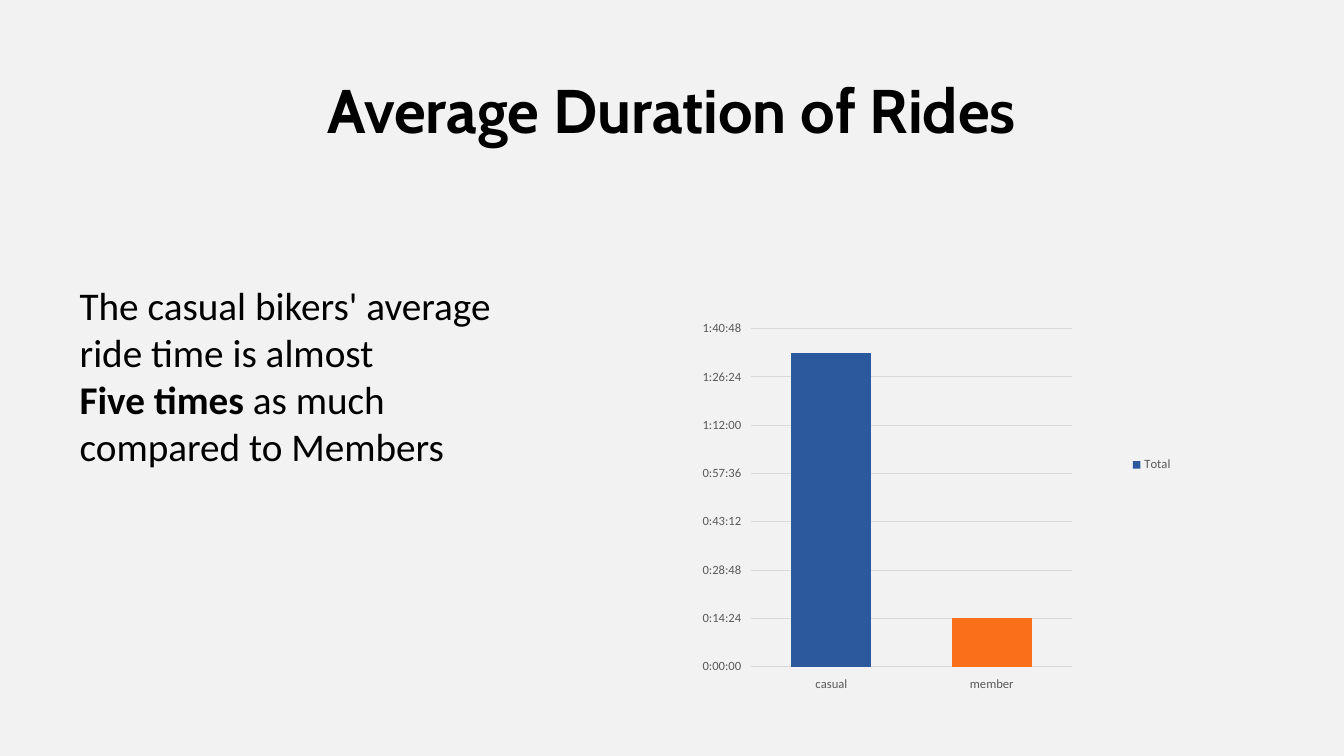
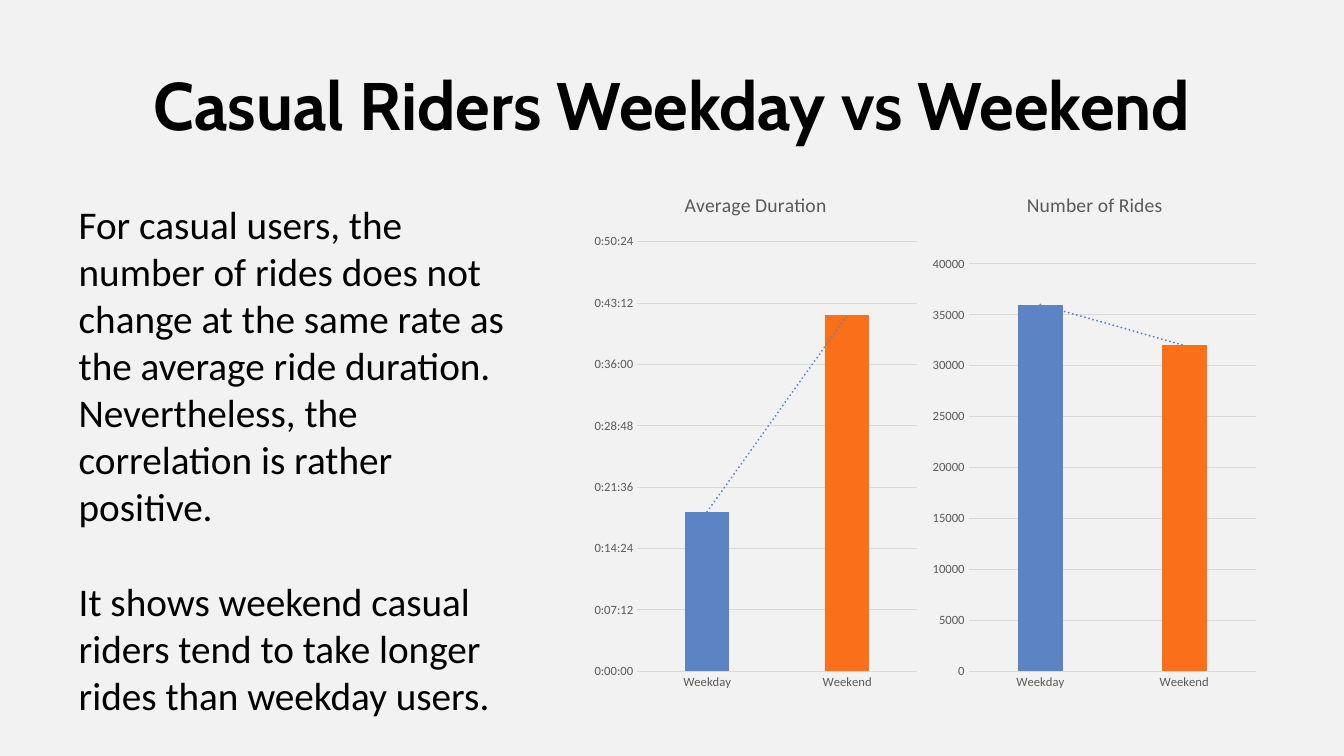
from lxml import etree
from pptx import Presentation, oxml
from pptx import util as u
from pptx.chart import data
from pptx.dml import color
from pptx.enum import chart as ec
from pptx.enum import text
from pptx.oxml import ns

COLORS = {"paper": "F2F2F2", "ink": "000000", "label": "595959", "grid": "D9D9D9",
          "navy": "2C599D", "blue": "5C83C4", "orange": "FA6F1A"}
HEADING, BODY = "Cabin", "Calibri"
DURATION = "[h]:mm:ss;@"


def rgb(name):
    """Return the named palette colour."""
    return color.RGBColor.from_string(COLORS[name])


def set_font(font, size, name=BODY, tint="ink", bold=False):
    """Apply typeface, size, colour and weight."""
    font.name, font.size, font.bold = name, u.Pt(size), bold
    font.color.rgb = rgb(tint)


def set_layout(part, inner=False, **fractions):
    """Place a chart part by fractions of the chart frame."""
    layout = part.find(ns.qn("c:layout"))
    if layout is None:
        layout = etree.Element(ns.qn("c:layout"))
        part.insert(0, layout)
    manual = etree.SubElement(layout, ns.qn("c:manualLayout"))
    settings = {"layoutTarget": "inner"} if inner else {}
    settings.update(xMode="edge", yMode="edge", **fractions)
    for tag, value in settings.items():
        etree.SubElement(manual, ns.qn("c:" + tag)).set("val", str(value))


class Deck:
    """Hold the shared style and the current slide."""

    def __init__(self):
        """Start a wide presentation on the paper colour."""
        self.prs = Presentation()
        self.prs.slide_width, self.prs.slide_height = u.Pt(960), u.Pt(540)
        background = self.prs.slide_master.background.fill
        background.solid()
        background.fore_color.rgb = rgb("paper")

    def add_slide(self, heading, top, size):
        """Add a slide with a centred heading."""
        self.slide = self.prs.slides.add_slide(self.prs.slide_layouts[1])
        frame = self.fill_box(self.slide.shapes.title, 66, top, 828, 55)
        frame.vertical_anchor = text.MSO_ANCHOR.MIDDLE
        line = frame.paragraphs[0]
        line.alignment, line.line_spacing = text.PP_ALIGN.CENTER, 0.9
        run = line.add_run()
        run.text = heading
        set_font(run.font, size, HEADING, bold=True)

    def fill_box(self, box, left, top, width, height):
        """Move a placeholder and return its text frame."""
        box.left, box.top = u.Pt(left), u.Pt(top)
        box.width, box.height = u.Pt(width), u.Pt(height)
        box.text_frame.auto_size = text.MSO_AUTO_SIZE.NONE
        box.text_frame.word_wrap = True
        return box.text_frame

    def add_message(self, place, lines):
        """Write paragraphs given as (space before, [(words, bold)])."""
        frame = self.fill_box(self.slide.placeholders[1], *place)
        for index, (gap, runs) in enumerate(lines):
            line = frame.add_paragraph() if index else frame.paragraphs[0]
            props = line._p.get_or_add_pPr()
            props.set("marL", "0")
            props.set("indent", "0")
            etree.SubElement(props, ns.qn("a:buNone"))
            line.space_before = u.Pt(gap)
            for words, bold in runs:
                run = line.add_run()
                run.text = words
                set_font(run.font, 28, bold=bold)

    def add_columns(self, place, categories, name, values, fmt, top, step, plot,
                    tint="blue", gap=219, overlap=-27,
                    tick=ec.XL_TICK_MARK.NONE, baseline=True):
        """Add a column chart whose second column is orange."""
        rides = data.CategoryChartData(number_format=fmt)
        rides.categories = categories
        rides.add_series(name, values)
        chart = self.slide.shapes.add_chart(
            ec.XL_CHART_TYPE.COLUMN_CLUSTERED, *map(u.Pt, place), rides).chart
        set_font(chart.font, 10)
        chart.has_title = chart.has_legend = False
        columns = chart.plots[0]
        columns.gap_width, columns.overlap = gap, overlap
        columns.vary_by_categories = False
        series = columns.series[0]
        for part, shade in ((series, tint), (series.points[1], "orange")):
            part.format.fill.solid()
            part.format.fill.fore_color.rgb = rgb(shade)
        scale = chart.value_axis
        scale.minimum_scale, scale.maximum_scale, scale.major_unit = 0, top, step
        scale.tick_labels.number_format = fmt
        scale.tick_labels.number_format_is_linked = False
        for axis, visible in ((chart.category_axis, baseline), (scale, False)):
            set_font(axis.tick_labels.font, 9, tint="label")
            axis.major_tick_mark, axis.minor_tick_mark = tick, ec.XL_TICK_MARK.NONE
            if visible:
                self.draw_rule(axis.format.line)
            else:
                axis.format.line.fill.background()
        self.draw_rule(scale.major_gridlines.format.line)
        set_layout(chart._chartSpace.chart.plotArea, True,
                   **dict(zip("xywh", plot)))
        return chart

    def draw_rule(self, line):
        """Give a chart line the thin grid style."""
        line.color.rgb, line.width = rgb("grid"), u.Pt(0.75)

    def add_legend(self, chart):
        """Show the legend at the right of a chart."""
        chart.has_legend = True
        chart.legend.position = ec.XL_LEGEND_POSITION.RIGHT
        chart.legend.include_in_layout = False
        set_font(chart.legend.font, 9, tint="label")

    def add_chart_title(self, chart, words, x):
        """Title a chart near its top edge."""
        chart.has_title = True
        run = chart.chart_title.text_frame.paragraphs[0].add_run()
        run.text = words
        set_font(run.font, 14, tint="label")
        set_layout(chart.chart_title._element, x=x, y=0.03)

    def add_trend(self, chart):
        """Add a dotted linear trend line to the series."""
        trend = oxml.parse_xml(
            f'<c:trendline {ns.nsdecls("c", "a")}><c:spPr>'
            f'<a:ln w="{u.Pt(1.5)}" cap="rnd"><a:solidFill>'
            f'<a:srgbClr val="{COLORS["blue"]}"/></a:solidFill>'
            '<a:prstDash val="sysDot"/></a:ln></c:spPr>'
            '<c:trendlineType val="linear"/><c:dispRSqr val="0"/>'
            '<c:dispEq val="0"/></c:trendline>')
        series = chart.plots[0].series[0]._element
        series.find(ns.qn("c:cat")).addprevious(trend)


def main():
    """Build and save both slides."""
    deck = Deck()
    deck.add_slide("Average Duration of Rides", 53.5, 44)
    deck.add_message((49.7, 197.5, 348, 144), [
        (0, [("The casual bikers' average ride time is almost", False)]),
        (0, [("Five times", True), (" as much", False)]),
        (0, [("compared to Members", False)])])
    totals = deck.add_columns(
        (480, 158.3, 365, 347.5), ("casual", "member"), "Total", (0.065, 0.01),
        DURATION, 0.07, 0.01, (0.155, 0.22, 0.628, 0.695), tint="navy", gap=100,
        overlap=0, tick=ec.XL_TICK_MARK.OUTSIDE, baseline=False)
    deck.add_legend(totals)

    deck.add_slide("Casual Riders Weekday vs Weekend", 50, 48)
    deck.add_message((49, 139.4, 319, 380), [
        (0, [("For casual users, the number of rides does not change at the same "
              "rate as the average ride duration.", False)]),
        (0, [("Nevertheless, the correlation is rather positive.", False)]),
        (34, [("It shows weekend casual riders tend to take longer rides than "
               "weekday users.", False)])])
    comparisons = (
        ("Average Duration", 0.28, (0.013, 0.029), DURATION, 0.035, 0.005,
         (0.15, 0.133, 0.83, 0.812)),
        ("Number of Rides", 0.29, (36000, 32000), "0", 40000, 5000,
         (0.128, 0.175, 0.852, 0.77)))
    for index, (words, x, values, *scale) in enumerate(comparisons):
        chart = deck.add_columns((419 + 242 * index, 122.4, 241, 378),
                                 ("Weekday", "Weekend"), "Series 1", values, *scale)
        deck.add_chart_title(chart, words, x)
        deck.add_trend(chart)
    deck.prs.save("out.pptx")


if __name__ == "__main__":
    main()
